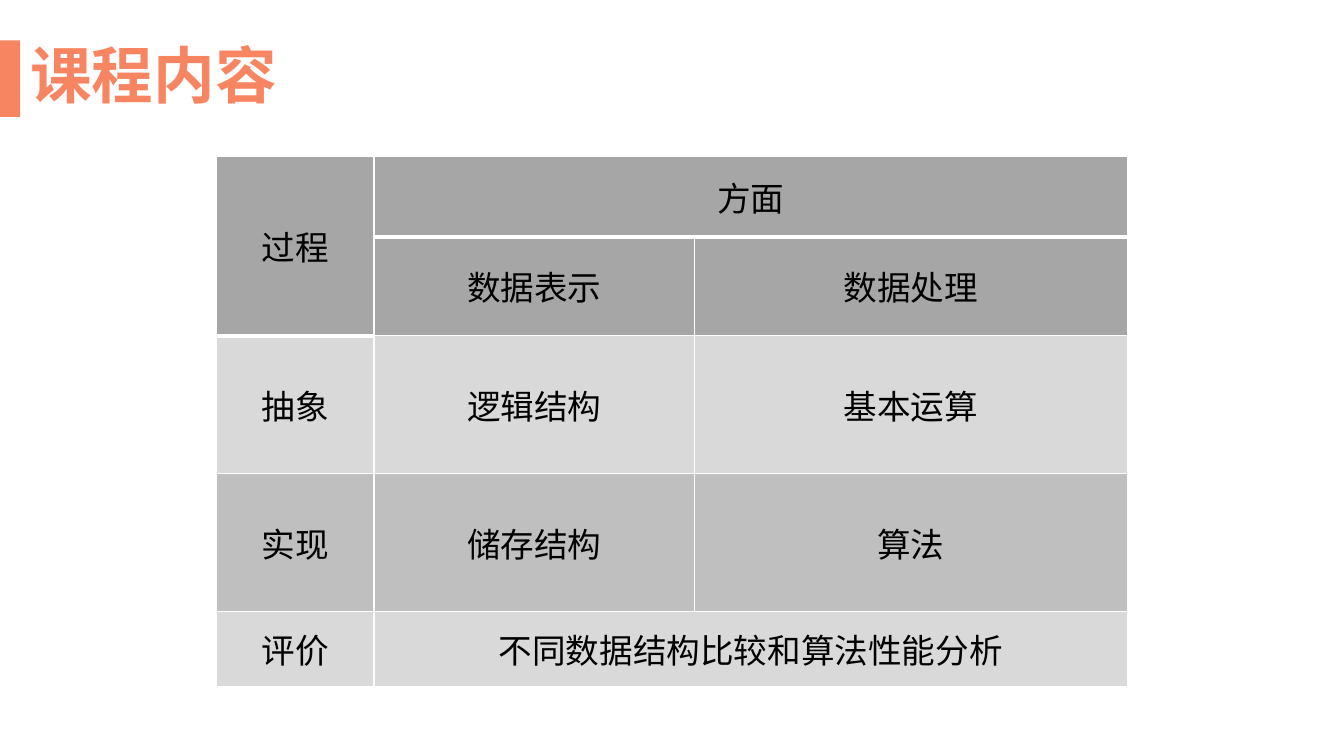
from lxml.etree import SubElement
from pptx import Presentation
from pptx.dml.color import RGBColor
from pptx.enum.shapes import MSO_SHAPE as Shape
from pptx.enum.text import MSO_ANCHOR as Anchor, PP_ALIGN as Align
from pptx.oxml.ns import qn
from pptx.util import Pt

COLORS = {
    "accent": "F88562",
    "header": "A6A6A6",
    "light": "D9D9D9",
    "medium": "BFBFBF",
    "text": "000000",
    "border": "FFFFFF",
}
COLUMN_WIDTHS = [112.3, 229, 309.2]
ROW_HEIGHTS = [57.6, 70.6, 98.6, 98.6, 53.3]
ROW_COLORS = ["header", "header", "light", "medium", "light"]
CONTENT = [
    ["过程", "方面", ""],
    ["", "数据表示", "数据处理"],
    ["抽象", "逻辑结构", "基本运算"],
    ["实现", "储存结构", "算法"],
    ["评价", "不同数据结构比较和算法性能分析", ""],
]
MERGES = [((0, 0), (1, 0)), ((0, 1), (0, 2)), ((4, 1), (4, 2))]
THICK_BOTTOMS = {(0, 1), (0, 2), (1, 0)}


class SlideBuilder:
    font_name = "Arial"

    def __init__(self, slide):
        self.slide = slide

    def color(self, name):
        return RGBColor.from_string(COLORS[name])

    def apply(self, target, values):
        for name, value in values.items():
            setattr(target, name, value)

    def format_font(self, font, size, color, bold=False):
        self.apply(font, {"name": self.font_name, "size": Pt(size), "bold": bold})
        font.color.rgb = self.color(color)

    def bar(self, left, top, width, height, color):
        shape = self.slide.shapes.add_shape(
            Shape.RECTANGLE, Pt(left), Pt(top), Pt(width), Pt(height))
        shape.shadow.inherit = False
        shape.fill.solid()
        shape.fill.fore_color.rgb = self.color(color)
        shape.line.fill.background()

    def title(self, text, left, top, width, height):
        shape = self.slide.shapes.title
        self.apply(shape, {"left": Pt(left), "top": Pt(top),
                           "width": Pt(width), "height": Pt(height)})
        shape.text_frame.text = text
        shape.text_frame.vertical_anchor = Anchor.MIDDLE
        paragraph = shape.text_frame.paragraphs[0]
        self.apply(paragraph, {"alignment": Align.LEFT, "line_spacing": 0.9})
        self.format_font(paragraph.runs[0].font, 44, "accent", True)

    def borders(self, cell, widths):
        properties = cell._tc.get_or_add_tcPr()
        for side, width in widths.items():
            line = SubElement(properties, qn(f"a:ln{side}"), w=str(Pt(width)))
            fill = SubElement(line, qn("a:solidFill"))
            SubElement(fill, qn("a:srgbClr"), val=COLORS["border"])

    def cell(self, cell, text, color, widths):
        self.borders(cell, widths)
        cell.fill.solid()
        cell.fill.fore_color.rgb = self.color(color)
        cell.vertical_anchor = Anchor.MIDDLE
        paragraph = cell.text_frame.paragraphs[0]
        paragraph.alignment = Align.CENTER
        if text:
            run = paragraph.add_run()
            run.text = text
            self.format_font(run.font, 24, "text")

    def table(self, left, top):
        table = self.slide.shapes.add_table(
            len(ROW_HEIGHTS), len(COLUMN_WIDTHS), Pt(left), Pt(top),
            Pt(sum(COLUMN_WIDTHS)), Pt(sum(ROW_HEIGHTS))).table
        for column, width in zip(table.columns, COLUMN_WIDTHS):
            column.width = Pt(width)
        for row, height in zip(table.rows, ROW_HEIGHTS):
            row.height = Pt(height)
        for start, end in MERGES:
            table.cell(*start).merge(table.cell(*end))
        for row, texts in enumerate(CONTENT):
            for column, text in enumerate(texts):
                origin_thick = (row, column) == (0, 0)
                bottom = 3 if origin_thick or (row, column) in THICK_BOTTOMS else 1
                top_width = 3 if (row - 1, column) in THICK_BOTTOMS else 1
                self.cell(table.cell(row, column), text, ROW_COLORS[row],
                          {"L": 1, "R": 1, "T": top_width, "B": bottom})


def main():
    presentation = Presentation()
    presentation.slide_width = Pt(960)
    presentation.slide_height = Pt(540)
    slide = presentation.slides.add_slide(presentation.slide_layouts[5])
    builder = SlideBuilder(slide)
    builder.bar(0, 28.8, 14.4, 54.7, "accent")
    builder.title("课程内容", 14.4, 28.1, 931.7, 55.4)
    builder.table(154.8, 111.6)
    presentation.save("out.pptx")


if __name__ == "__main__":
    main()
